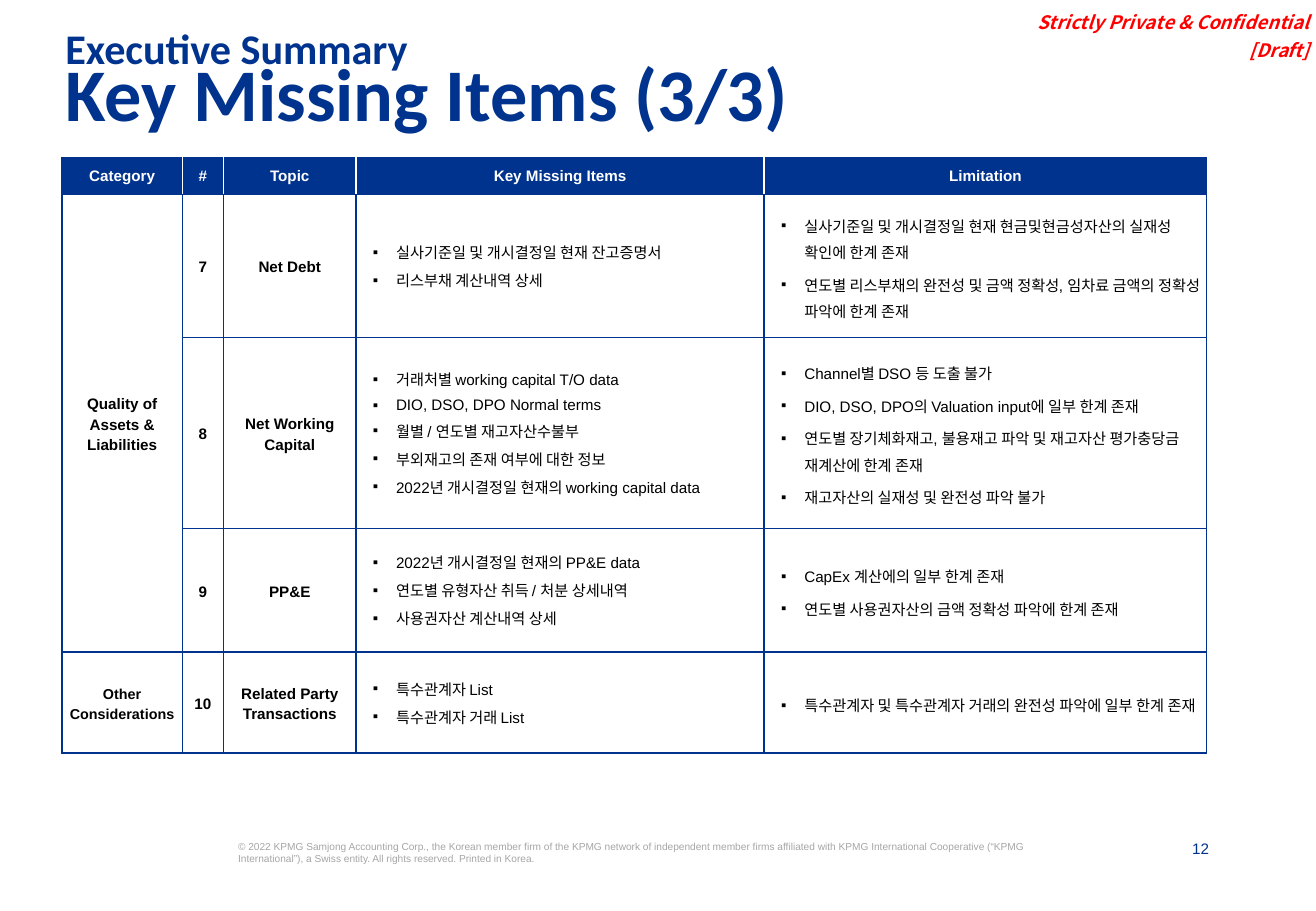
from dataclasses import dataclass

from lxml.etree import SubElement
from pptx import Presentation
from pptx.dml.color import RGBColor
from pptx.enum.text import MSO_ANCHOR, MSO_AUTO_SIZE, PP_ALIGN
from pptx.oxml.ns import qn
from pptx.util import Inches, Pt

NAVY = RGBColor(0x00, 0x33, 0x8D)
RED = RGBColor(0xFF, 0x00, 0x00)
GRAY = RGBColor(0xA6, 0xA6, 0xA6)
BLACK = RGBColor(0x00, 0x00, 0x00)
WHITE = RGBColor(0xFF, 0xFF, 0xFF)


@dataclass(frozen=True)
class TextStyle:
    color: RGBColor
    size: float = 9
    name: str = "Arial"
    bold: bool = False
    italic: bool = False
    alignment: PP_ALIGN = PP_ALIGN.LEFT
    line_spacing: float | Pt = 1.0
    gap: float = 0
    bullet: str = ""


@dataclass(frozen=True)
class TextBox:
    lines: tuple[str, ...]
    style: TextStyle
    left: float
    top: float
    width: float
    height: float
    margins: tuple[float, float, float, float] = (0, 0, 0, 0)
    anchor: MSO_ANCHOR = MSO_ANCHOR.TOP


@dataclass(frozen=True)
class Finding:
    category: str
    number: str
    topic: str
    missing_items: tuple[str, ...]
    limitations: tuple[str, ...]
    height: float


HEADER = TextStyle(WHITE, bold=True, alignment=PP_ALIGN.CENTER)
LABEL = TextStyle(BLACK, bold=True, alignment=PP_ALIGN.CENTER, line_spacing=Pt(12))
SMALL_LABEL = TextStyle(BLACK, 8.5, bold=True, alignment=PP_ALIGN.CENTER, line_spacing=Pt(12))
MISSING_ITEM = TextStyle(BLACK, gap=3.6, bullet="▪")
LIMITATION = TextStyle(BLACK, line_spacing=1.2, gap=3.6, bullet="▪")

TITLE_MARGINS = (0.1, 0.05, 0.1, 0.05)
TITLE = TextBox(("Key Missing Items (3/3)",),
                TextStyle(NAVY, 44, "Calibri", bold=True, line_spacing=0.7),
                0.44, 0.54, 9.4, 0.64, TITLE_MARGINS)
TEXT_BOXES = (
    TextBox(("Executive Summary",),
            TextStyle(NAVY, 25, "Calibri", bold=True, line_spacing=0.7),
            0.44, 0.25, 9.4, 0.3, TITLE_MARGINS),
    TextBox(("Strictly Private & Confidential", "[Draft]"),
            TextStyle(RED, 11, "Noto Sans CJK KR", True, True, PP_ALIGN.RIGHT, gap=3),
            8.32, -0.01, 2.5, 0.55, (0, 0.04, 0.04, 0.04), MSO_ANCHOR.BOTTOM),
    TextBox(("© 2022 KPMG Samjong Accounting Corp., the Korean member firm of the KPMG "
             "network of independent member firms affiliated with KPMG International "
             "Cooperative (“KPMG International”), a Swiss entity. All rights reserved. "
             "Printed in Korea.",),
            TextStyle(GRAY, 6), 1.96, 6.92, 6.53, 0.5),
    TextBox(("12",), TextStyle(NAVY, alignment=PP_ALIGN.RIGHT), 9.52, 6.91, 0.43, 0.16),
)

HEADINGS = ("Category", "#", "Topic", "Key Missing Items", "Limitation")
COLUMN_WIDTHS = (0.99, 0.34, 1.09, 3.36, 3.64)
HEADER_HEIGHT = 0.3
FINDINGS = (
    Finding("Quality of Assets & Liabilities", "7", "Net Debt",
            ("실사기준일 및 개시결정일 현재 잔고증명서", "리스부채 계산내역 상세"),
            ("실사기준일 및 개시결정일 현재 현금및현금성자산의 실재성 확인에 한계 존재",
             "연도별 리스부채의 완전성 및 금액 정확성, 임차료 금액의 정확성 파악에 한계 존재"), 1.18),
    Finding("", "8", "Net Working Capital",
            ("거래처별 working capital T/O data", "DIO, DSO, DPO Normal terms",
             "월별 / 연도별 재고자산수불부", "부외재고의 존재 여부에 대한 정보",
             "2022년 개시결정일 현재의 working capital data"),
            ("Channel별 DSO 등 도출 불가", "DIO, DSO, DPO의 Valuation input에 일부 한계 존재",
             "연도별 장기체화재고, 불용재고 파악 및 재고자산 평가충당금 재계산에 한계 존재",
             "재고자산의 실재성 및 완전성 파악 불가"), 1.57),
    Finding("", "9", "PP&E",
            ("2022년 개시결정일 현재의 PP&E data", "연도별 유형자산 취득 / 처분 상세내역",
             "사용권자산 계산내역 상세"),
            ("CapEx 계산에의 일부 한계 존재", "연도별 사용권자산의 금액 정확성 파악에 한계 존재"), 1.02),
    Finding("Other Considerations", "10", "Related Party Transactions",
            ("특수관계자 List", "특수관계자 거래 List"),
            ("특수관계자 및 특수관계자 거래의 완전성 파악에 일부 한계 존재",), 0.83),
)


def apply_format(target, values: dict) -> None:
    for attribute, value in values.items():
        setattr(target, attribute, value)


def write_lines(frame, lines: tuple[str, ...], style: TextStyle) -> None:
    for index, line in enumerate(lines):
        paragraph = frame.add_paragraph() if index else frame.paragraphs[0]
        apply_format(paragraph, {
            "alignment": style.alignment,
            "line_spacing": style.line_spacing,
            "space_before": Pt(style.gap if index else 0),
        })
        if style.bullet:
            properties = paragraph._p.get_or_add_pPr()
            properties.set("marL", str(Inches(0.28)))
            properties.set("indent", str(Inches(-0.19)))
            SubElement(properties, qn("a:buFont"), typeface=style.name)
            SubElement(properties, qn("a:buChar"), char=style.bullet)
        run = paragraph.add_run()
        run.text = line
        apply_format(run.font, {"name": style.name, "size": Pt(style.size),
                                "bold": style.bold, "italic": style.italic})
        run.font.color.rgb = style.color


def fill_text_box(shape, box: TextBox) -> None:
    apply_format(shape, {side: Inches(getattr(box, side))
                         for side in ("left", "top", "width", "height")})
    left, top, right, bottom = map(Inches, box.margins)
    apply_format(shape.text_frame, {
        "word_wrap": True, "auto_size": MSO_AUTO_SIZE.NONE,
        "vertical_anchor": box.anchor, "margin_left": left,
        "margin_top": top, "margin_right": right, "margin_bottom": bottom,
    })
    write_lines(shape.text_frame, box.lines, box.style)


def set_borders(cell, colors: dict[str, RGBColor]) -> None:
    properties = cell._tc.get_or_add_tcPr()
    for edge, color in colors.items():
        line = SubElement(properties, qn(f"a:ln{edge}"), w=str(Pt(1)))
        fill = SubElement(line, qn("a:solidFill"))
        SubElement(fill, qn("a:srgbClr"), val=str(color))


def format_cell(cell, is_header: bool, column: int) -> None:
    apply_format(cell, {"vertical_anchor": MSO_ANCHOR.MIDDLE} | {
        f"margin_{side}": Inches(0.05) for side in ("left", "right", "top", "bottom")})
    last = len(HEADINGS) - 1
    set_borders(cell, {
        "L": WHITE if is_header and column > 0 else NAVY,
        "R": WHITE if is_header and column < last else NAVY,
        "T": NAVY,
        "B": NAVY,
    })
    cell.fill.solid()
    cell.fill.fore_color.rgb = NAVY if is_header else WHITE


def add_findings_table(slide) -> None:
    heights = (HEADER_HEIGHT, *(finding.height for finding in FINDINGS))
    table = slide.shapes.add_table(
        len(heights), len(HEADINGS), Inches(0.51), Inches(1.3),
        Inches(sum(COLUMN_WIDTHS)), Inches(sum(heights))).table
    apply_format(table, {"first_row": False, "horz_banding": False})
    for column, width in zip(table.columns, COLUMN_WIDTHS):
        column.width = Inches(width)
    for row, height in zip(table.rows, heights):
        row.height = Inches(height)

    rows = [[((heading,), HEADER) for heading in HEADINGS]]
    for finding in FINDINGS:
        category_style = SMALL_LABEL if finding is FINDINGS[-1] else LABEL
        rows.append([((finding.category,), category_style), ((finding.number,), LABEL),
                     ((finding.topic,), LABEL), (finding.missing_items, MISSING_ITEM),
                     (finding.limitations, LIMITATION)])
    for row_index, row in enumerate(rows):
        for column_index, (lines, style) in enumerate(row):
            cell = table.cell(row_index, column_index)
            format_cell(cell, row_index == 0, column_index)
            if lines[0]:
                write_lines(cell.text_frame, lines, style)
    table.cell(1, 0).merge(table.cell(3, 0))


def main() -> None:
    presentation = Presentation()
    apply_format(presentation, {"slide_width": Inches(10.83), "slide_height": Inches(7.5)})
    slide = presentation.slides.add_slide(presentation.slide_layouts[5])
    fill_text_box(slide.shapes.title, TITLE)
    for box in TEXT_BOXES:
        fill_text_box(slide.shapes.add_textbox(0, 0, 0, 0), box)
    add_findings_table(slide)
    presentation.save("out.pptx")


if __name__ == "__main__":
    main()
